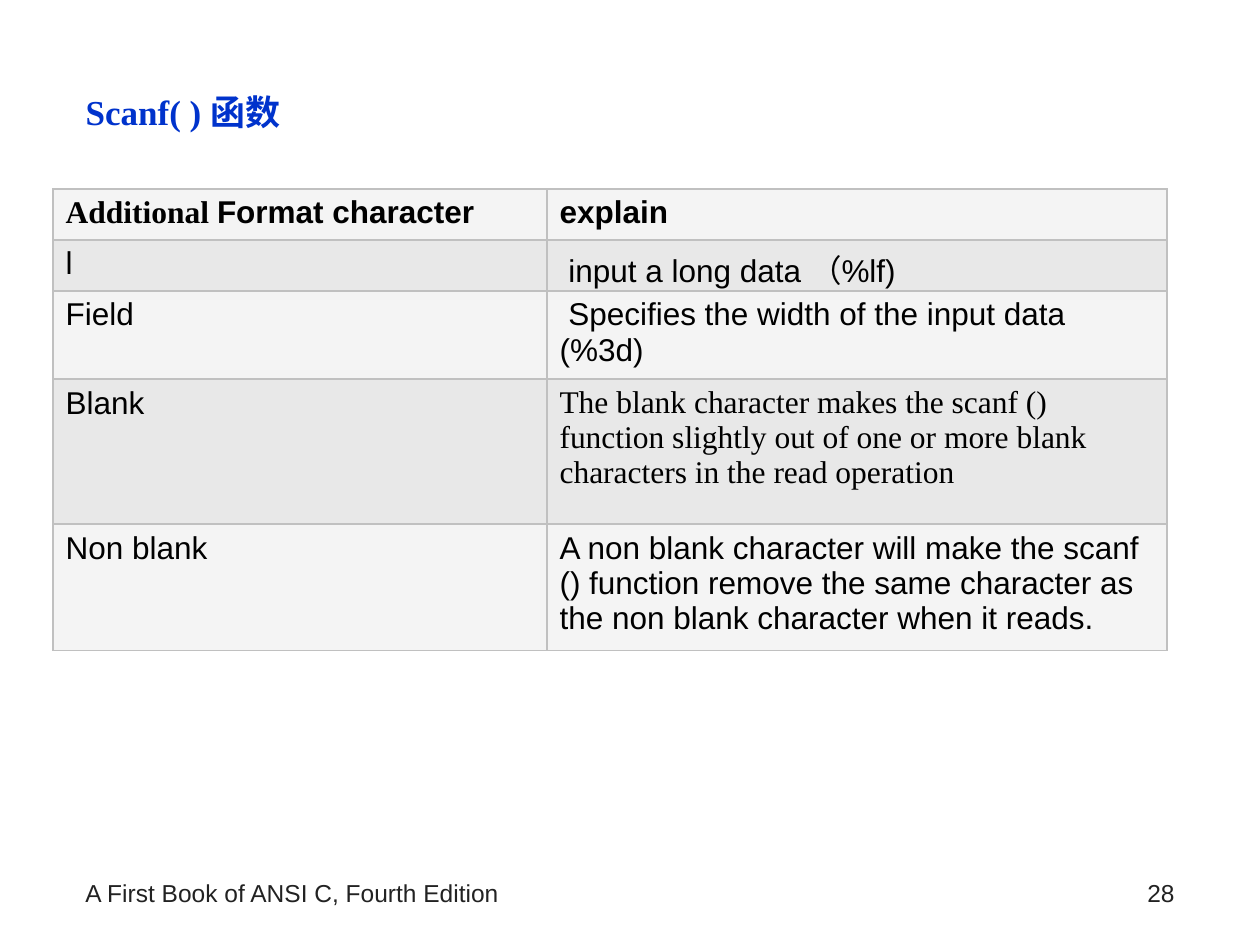
from lxml import etree
from pptx import Presentation
from pptx.dml.color import RGBColor
from pptx.enum.text import MSO_ANCHOR, MSO_AUTO_SIZE, PP_ALIGN
from pptx.oxml.ns import qn
from pptx.util import Emu, Pt

TOP = MSO_ANCHOR.TOP
GROW = MSO_AUTO_SIZE.SHAPE_TO_FIT_TEXT
LEFT, RIGHT = PP_ALIGN.LEFT, PP_ALIGN.RIGHT
SANS, SERIF = "Arial", "Times New Roman"
COLORS = {
    "title": "0033CC",
    "body": "000000",
    "footer": "222222",
    "border": "C0C0C0",
    "light_row": "F4F4F4",
    "dark_row": "E8E8E8",
}


def px(n):
    return Emu(round(n * 914400 / 126))


def style(font, name, size, color, bold=False):
    font.name = name
    font.size = Pt(size)
    font.bold = bold
    font.color.rgb = RGBColor.from_string(COLORS[color])


prs = Presentation()
prs.slide_width, prs.slide_height = px(1260), px(945)
slide = prs.slides.add_slide(prs.slide_layouts[5])

footers = [
    ("A First Book of ANSI C, Fourth Edition", 73, 809, LEFT),
    ("28", 903, 284, RIGHT),
]
for text, left, width, align in footers:
    footer = slide.shapes.add_textbox(px(left), px(872), px(width), px(53)).text_frame
    footer.word_wrap = True
    footer.text = text
    footer.paragraphs[0].alignment = align
    style(footer.paragraphs[0].font, SANS, 14, "footer")

rows = [
    [[("Additional ", SERIF), ("Format character", SANS)], [("explain", SANS)]],
    [[("l", SANS)], [(" input a long data （%lf)", SANS)]],
    [[("Field", SANS)], [(" Specifies the width of the input data (%3d)", SANS)]],
    [[("Blank", SANS)],
     [("The blank character makes the scanf () function slightly out of one or more "
       "blank characters in the read operation", SERIF)]],
    [[("Non blank", SANS)],
     [("A non blank character will make the scanf () function remove the same "
       "character as the non blank character when it reads.", SANS)]],
]
column_widths = [494, 620]
row_heights = [51, 51, 88, 145, 126]

formats = slide.shapes.add_table(
    len(rows), len(column_widths), px(53), px(189),
    px(sum(column_widths)), px(sum(row_heights))).table
for column, width in zip(formats.columns, column_widths):
    column.width = px(width)

for r, (row, height) in enumerate(zip(rows, row_heights)):
    formats.rows[r].height = px(height)
    for c, runs in enumerate(row):
        cell = formats.cell(r, c)
        paragraph = cell.text_frame.paragraphs[0]
        style(paragraph.font, runs[0][1], 18, "body", r == 0)
        for text, font_name in runs:
            run = paragraph.add_run()
            run.text = text
            if len(runs) > 1:
                run.font.name = font_name
        properties = cell._tc.get_or_add_tcPr()
        for side in ("a:lnL", "a:lnR", "a:lnT", "a:lnB"):
            border = etree.SubElement(properties, qn(side), w=str(Pt(1)))
            border_fill = etree.SubElement(border, qn("a:solidFill"))
            etree.SubElement(border_fill, qn("a:srgbClr"), val=COLORS["border"])
        cell.fill.solid()
        cell.fill.fore_color.rgb = RGBColor.from_string(
            COLORS["dark_row" if r % 2 else "light_row"])

title = slide.shapes.title
title.left, title.top, title.width, title.height = px(73), px(84), px(222), px(55)
heading = title.text_frame
heading.text = "Scanf( ) 函数"
heading.word_wrap = True
heading.auto_size = GROW
heading.vertical_anchor = TOP
heading.paragraphs[0].alignment = LEFT
style(heading.paragraphs[0].font, SERIF, 20, "title", True)

prs.save("out.pptx")
